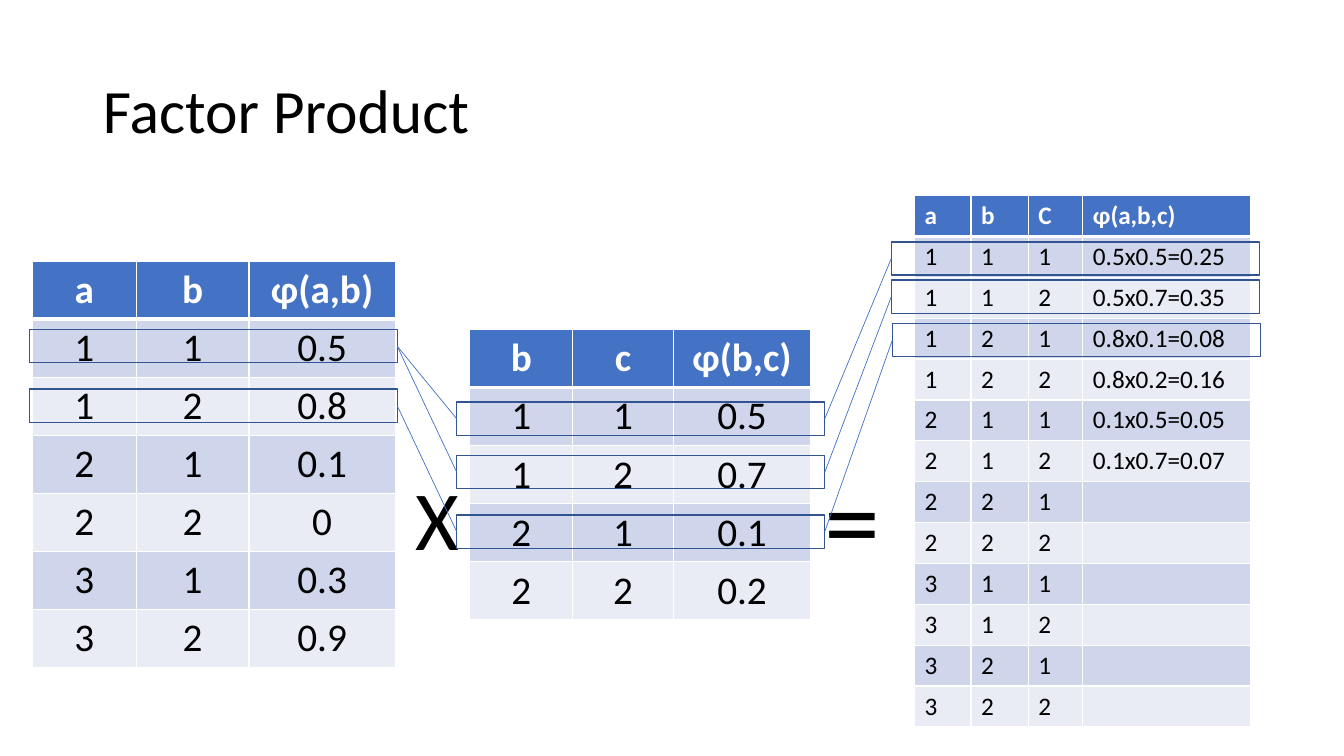
from lxml.etree import SubElement
from pptx import Presentation
from pptx.dml.color import RGBColor
from pptx.enum.shapes import MSO_CONNECTOR, MSO_SHAPE
from pptx.enum.text import MSO_ANCHOR, PP_ALIGN
from pptx.oxml.ns import qn
from pptx.util import Inches, Pt

COLORS = {
    "text": "000000", "white": "FFFFFF", "header": "4472C4",
    "odd": "CFD5EA", "even": "E9EBF5", "outline": "325491", "link": "4472C4",
}
FONT = "Calibri"
TITLE = "Factor Product"

# Factor tables: one string per row, cells separated by blanks
TABLES = [
    {"left": 0.32, "top": 2.59, "columns": (1.03, 1.12, 1.45), "row": 0.57,
     "size": 28, "align": PP_ALIGN.CENTER,
     "rows": ["a b ɸ(a,b)", "1 1 0.5", "1 2 0.8", "2 1 0.1", "2 2 0",
              "3 1 0.3", "3 2 0.9"]},
    {"left": 4.66, "top": 3.27, "columns": (1.02, 1, 1.36), "row": 0.57,
     "size": 28, "align": PP_ALIGN.CENTER,
     "rows": ["b c ɸ(b,c)", "1 1 0.5", "1 2 0.7", "2 1 0.1", "2 2 0.2"]},
    {"left": 9.07, "top": 1.94, "columns": (0.56, 0.57, 0.54, 1.66), "row": 0.4,
     "size": 18, "align": PP_ALIGN.LEFT,
     "rows": ["a b C ɸ(a,b,c)", "1 1 1 0.5x0.5=0.25", "1 1 2 0.5x0.7=0.35",
              "1 2 1 0.8x0.1=0.08", "1 2 2 0.8x0.2=0.16", "2 1 1 0.1x0.5=0.05",
              "2 1 2 0.1x0.7=0.07", "2 2 1", "2 2 2", "3 1 1", "3 1 2",
              "3 2 1", "3 2 2"]},
]

# Operators: text, left, top, width, height, size
OPERATORS = [("X", 4.02, 4.58, 0.64, 1.11, 60), ("=", 8.08, 4.41, 0.76, 1.45, 80)]

# Row outlines: left, top; and the pairs of outlines that are linked
OUTLINE_SIZE = (3.65, 0.33)
OUTLINES = {
    "ab1": (0.29, 3.27), "ab2": (0.29, 3.86),
    "bc1": (4.53, 3.99), "bc2": (4.53, 4.52), "bc3": (4.53, 5.11),
    "abc1": (8.84, 2.4), "abc2": (8.84, 2.78), "abc3": (8.85, 3.21),
}
LINKS = [("ab1", "bc1"), ("ab1", "bc2"), ("ab2", "bc3"),
         ("bc1", "abc1"), ("bc2", "abc2"), ("bc3", "abc3")]


def color(name):
    return RGBColor.from_string(COLORS[name])


def write(para, text, size, color_name="text", bold=False):
    span = para.add_run()
    span.text = text
    span.font.color.rgb = color(color_name)
    for key, value in {"name": FONT, "size": Pt(size), "bold": bold}.items():
        setattr(span.font, key, value)


def add_borders(cell, top, bottom):
    properties = cell._tc.get_or_add_tcPr()
    for side, width in {"L": 1, "R": 1, "T": top, "B": bottom}.items():
        line = SubElement(properties, qn(f"a:ln{side}"), w=str(Pt(width)))
        fill = SubElement(line, qn("a:solidFill"))
        SubElement(fill, qn("a:srgbClr"), val=COLORS["white"])


def add_factor(page, factor):
    rows, columns = factor["rows"], factor["columns"]
    frame = page.shapes.add_table(
        len(rows), len(columns), Inches(factor["left"]), Inches(factor["top"]),
        Inches(sum(columns)), Inches(factor["row"] * len(rows)))
    table = frame.table
    for column, width in zip(table.columns, columns):
        column.width = Inches(width)
    for r, row in enumerate(rows):
        table.rows[r].height = Inches(factor["row"])
        values = row.split()
        shade = "header" if r == 0 else "odd" if r % 2 else "even"
        for c in range(len(columns)):
            cell = table.cell(r, c)
            add_borders(cell, 3 if r == 1 else 1, 3 if r == 0 else 1)
            cell.fill.solid()
            cell.fill.fore_color.rgb = color(shade)
            para = cell.text_frame.paragraphs[0]
            para.alignment = factor["align"]
            if c < len(values):
                write(para, values[c], factor["size"],
                      "white" if r == 0 else "text", r == 0)


def add_outline(page, left, top):
    box = page.shapes.add_shape(MSO_SHAPE.RECTANGLE, Inches(left), Inches(top),
                                *map(Inches, OUTLINE_SIZE))
    box.shadow.inherit = False
    box.fill.background()
    box.line.color.rgb = color("outline")
    box.line.width = Pt(1)
    return box


def add_link(page, start, end):
    link = page.shapes.add_connector(MSO_CONNECTOR.STRAIGHT, 0, 0, 0, 0)
    link.begin_connect(start, 3)
    link.end_connect(end, 1)
    link.line.color.rgb = color("link")
    link.line.width = Pt(0.5)
    SubElement(link._element.spPr, qn("a:effectLst"))


def main():
    deck = Presentation()
    deck.slide_width, deck.slide_height = Inches(13.33), Inches(7.5)
    page = deck.slides.add_slide(deck.slide_layouts[5])

    # Title
    title = page.shapes.title
    place = {"left": 0.92, "top": 0.4, "width": 11.5, "height": 1.45}
    for key, value in place.items():
        setattr(title, key, Inches(value))
    title.text_frame.vertical_anchor = MSO_ANCHOR.MIDDLE
    para = title.text_frame.paragraphs[0]
    para.alignment, para.line_spacing = PP_ALIGN.LEFT, 0.9
    write(para, TITLE, 44)

    # Tables and the operators between them
    for factor in TABLES:
        add_factor(page, factor)
    for text, left, top, width, height, size in OPERATORS:
        box = page.shapes.add_textbox(*map(Inches, (left, top, width, height)))
        box.text_frame.word_wrap = False
        write(box.text_frame.paragraphs[0], text, size)

    # Outlined rows and their links
    boxes = {name: add_outline(page, *spot) for name, spot in OUTLINES.items()}
    for start, end in LINKS:
        add_link(page, boxes[start], boxes[end])

    deck.save("out.pptx")


if __name__ == "__main__":
    main()
